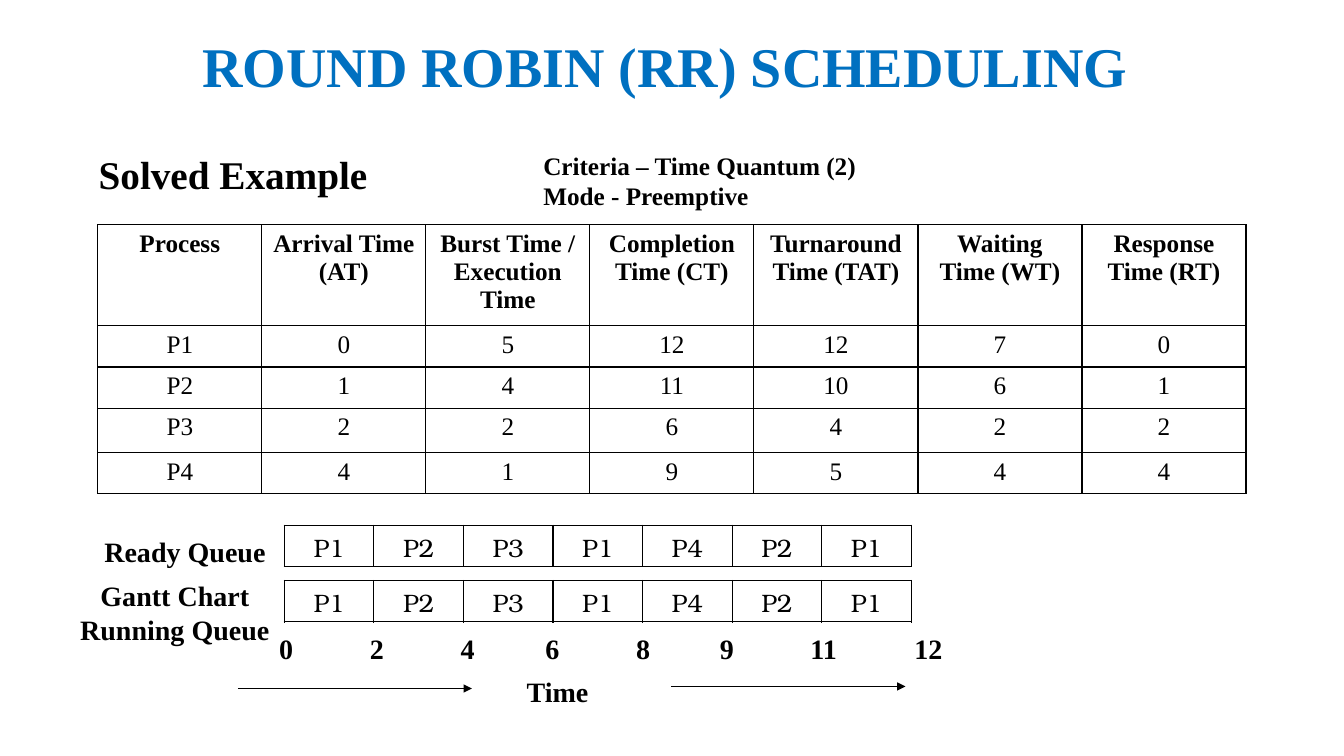
from lxml import etree
from pptx import Presentation
from pptx.dml.color import RGBColor
from pptx.enum import shapes, text
from pptx.oxml import ns
from pptx.util import Inches, Pt

SERIF = "Times New Roman"
QUEUE_FONT = "TeX Gyre Bonum"
BLACK = "000000"
WHITE = "FFFFFF"
BLUE = "0070C0"
LEFT = text.PP_ALIGN.LEFT
CENTER = text.PP_ALIGN.CENTER

RESULTS = [
    ["Process", "Arrival Time (AT)", "Burst Time / Execution Time",
     "Completion Time (CT)", "Turnaround Time (TAT)", "Waiting Time (WT)",
     "Response Time (RT)"],
    ["P1", "0", "5", "12", "12", "7", "0"],
    ["P2", "1", "4", "11", "10", "6", "1"],
    ["P3", "2", "2", "6", "4", "2", "2"],
    ["P4", "4", "1", "9", "5", "4", "4"],
]
QUEUE = ["P1", "P2", "P3", "P1", "P4", "P2", "P1"]
TIME_MARKS = {"0": 0.42, "2": 1.32, "4": 2.22, "6": 3.06,
              "8": 3.96, "9": 4.79, "11": 5.75, "12": 6.79}


def color(value):
    return RGBColor.from_string(value)


def add_element(parent, tag, **attributes):
    return etree.SubElement(parent, ns.qn(tag), attributes)


def write(paragraph, words, size, font=SERIF, bold=True, fill=BLACK, align=CENTER):
    paragraph.alignment = align
    run = paragraph.add_run()
    run.text = words
    run.font.name = font
    run.font.size = Pt(size)
    run.font.bold = bold
    run.font.color.rgb = color(fill)


def add_text(slide, box, lines, size, fill=BLACK, align=CENTER):
    shape = slide.shapes.add_textbox(*map(Inches, box))
    frame = shape.text_frame
    frame.word_wrap = True
    for index, line in enumerate(lines):
        paragraph = frame.add_paragraph() if index else frame.paragraphs[0]
        write(paragraph, line, size, fill=fill, align=align)
    return frame


def add_title(slide, words):
    frame = add_text(slide, (0.6, 0.23, 11.99, 0.92), [words], 40, BLUE)
    frame.vertical_anchor = text.MSO_ANCHOR.MIDDLE
    frame.paragraphs[0].line_spacing = 0.9


def add_time_marks(slide, box, marks):
    line = "".join("\t" + mark for mark in marks)
    frame = add_text(slide, box, [line], 20, align=LEFT)
    properties = frame.paragraphs[0]._p.get_or_add_pPr()
    stops = add_element(properties, "a:tabLst")
    for position in marks.values():
        add_element(stops, "a:tab", pos=str(Inches(position)), algn="ctr")


def add_borders(cell):
    properties = cell._tc.get_or_add_tcPr()
    for index, side in enumerate(("a:lnL", "a:lnR", "a:lnT", "a:lnB")):
        border = etree.Element(ns.qn(side), w=str(Pt(1)))
        fill = add_element(border, "a:solidFill")
        add_element(fill, "a:srgbClr", val=BLACK)
        properties.insert(index, border)


def add_grid(slide, left, top, width, heights, rows, font, bold_header):
    columns = len(rows[0])
    frame = slide.shapes.add_table(len(rows), columns, Inches(left), Inches(top),
                                   Inches(width), Inches(sum(heights)))
    table = frame.table
    table.first_row = False
    table.horz_banding = False
    for column in table.columns:
        column.width = Inches(width / columns)
    for row_index, values in enumerate(rows):
        table.rows[row_index].height = Inches(heights[row_index])
        for column_index, value in enumerate(values):
            cell = table.cell(row_index, column_index)
            cell.fill.solid()
            cell.fill.fore_color.rgb = color(WHITE)
            add_borders(cell)
            write(cell.text_frame.paragraphs[0], value, 18, font,
                  bold_header and row_index == 0)


def add_arrow(slide, left, top, length):
    connector = slide.shapes.add_connector(
        shapes.MSO_CONNECTOR.STRAIGHT, Inches(left), Inches(top),
        Inches(left + length), Inches(top))
    connector.line.color.rgb = color(BLACK)
    connector.line.width = Pt(1)
    add_element(connector.line._get_or_add_ln(), "a:tailEnd", type="triangle")
    add_element(connector._element.spPr, "a:effectLst")


def main():
    presentation = Presentation()
    presentation.slide_width = Inches(13.33)
    presentation.slide_height = Inches(7.5)
    slide = presentation.slides.add_slide(presentation.slide_layouts[6])

    add_title(slide, "ROUND ROBIN (RR) SCHEDULING")
    add_text(slide, (5.29, 1.44, 3.94, 0.71),
             ["Criteria – Time Quantum (2)", "Mode - Preemptive"], 18, align=LEFT)
    add_text(slide, (0.53, 1.44, 3.66, 0.57), ["Solved Example "], 28)
    add_grid(slide, 0.97, 2.23, 11.39, [1, 0.41, 0.41, 0.44, 0.41],
             RESULTS, SERIF, True)

    add_text(slide, (0.6, 5.25, 2.47, 0.44), ["Ready Queue"], 20)
    add_text(slide, (0.5, 5.69, 2.47, 0.77), ["Gantt Chart", "Running Queue"], 20)
    for top in (5.21, 5.76):
        add_grid(slide, 2.82, top, 6.22, [0.41], [QUEUE], QUEUE_FONT, False)

    add_time_marks(slide, (2.32, 6.22, 7.47, 0.44), TIME_MARKS)
    add_text(slide, (4.33, 6.64, 2.47, 0.44), ["Time "], 20)
    for left, top in ((2.36, 6.83), (6.66, 6.81)):
        add_arrow(slide, left, top, 2.32)

    presentation.save("out.pptx")


if __name__ == "__main__":
    main()
